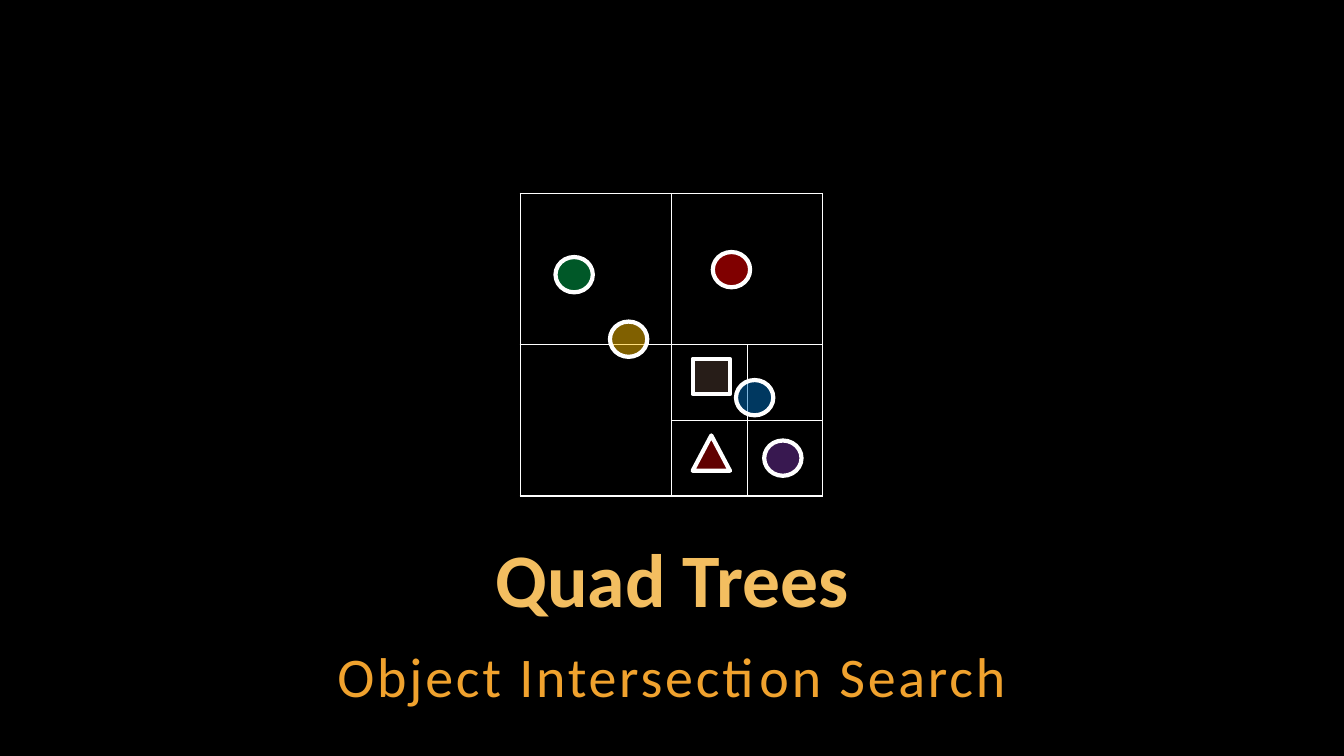
from dataclasses import dataclass

from pptx import Presentation
from pptx.dml.color import RGBColor
from pptx.enum.shapes import MSO_SHAPE as Preset
from pptx.enum.text import MSO_ANCHOR as Anchor, MSO_AUTO_SIZE as AutoSize, PP_ALIGN as Align
from pptx.oxml import parse_xml
from pptx.oxml.ns import nsdecls, qn
from pptx.slide import Slide
from pptx.text.text import Font, TextFrame
from pptx.util import Emu, Pt

PX = 9144  # 100 px to the inch
FONT = "Calibri"
BLACK = RGBColor(0x00, 0x00, 0x00)
WHITE = RGBColor(0xFF, 0xFF, 0xFF)
GOLD = RGBColor(0xF3, 0xBE, 0x60)
ORANGE = RGBColor(0xF0, 0xA2, 0x2E)
GREEN = RGBColor(0x00, 0xB0, 0x50)
RED = RGBColor(0xFF, 0x00, 0x00)
YELLOW = RGBColor(0xFF, 0xC0, 0x00)
BLUE = RGBColor(0x00, 0x70, 0xC0)
PURPLE = RGBColor(0x70, 0x30, 0xA0)
DARK_RED = RGBColor(0xC0, 0x00, 0x00)
BROWN = RGBColor(0x4E, 0x3B, 0x30)

TEXT_LEFT, TEXT_WIDTH, TEXT_INSET = 100, 1133, 4
TREE_LEFT, TREE_TOP, TREE_SIDE = 516, 192, 300
QUADRANT_SIZES = (TREE_SIDE // 2, TREE_SIDE // 4, TREE_SIDE // 4)
ITEM_WIDTH, ITEM_HEIGHT = 37, 35


@dataclass(frozen=True)
class TreeItem:
    left: int
    top: int
    color: RGBColor
    preset: Preset = Preset.OVAL


TREE_ITEMS = (
    TreeItem(551, 255, GREEN),
    TreeItem(707, 250, RED),
    TreeItem(605, 319, YELLOW),
    TreeItem(730, 377, BLUE),
    TreeItem(758, 437, PURPLE),
    TreeItem(687, 432, DARK_RED, Preset.ISOSCELES_TRIANGLE),
    TreeItem(687, 356, BROWN, Preset.RECTANGLE),
)


def px(length: int) -> Emu:
    return Emu(length * PX)


def write_line(frame: TextFrame, text: str, size: int, color: RGBColor,
               anchor: Anchor, line_spacing: float) -> Font:
    """Fill the frame with one centred line and return the font of its run."""
    frame.word_wrap = True
    frame.auto_size = AutoSize.NONE
    frame.vertical_anchor = anchor
    frame.margin_left = frame.margin_right = px(TEXT_INSET)
    frame.margin_top = frame.margin_bottom = px(TEXT_INSET)
    paragraph = frame.paragraphs[0]
    paragraph.alignment = Align.CENTER
    paragraph.line_spacing = line_spacing
    paragraph.space_before = Pt(0)
    run = paragraph.add_run()
    run.text = text
    run.font.name = FONT
    run.font.size = Pt(size)
    run.font.color.rgb = color
    return run.font


def add_headings(slide: Slide) -> None:
    title = slide.shapes.title
    title.left, title.top = px(TEXT_LEFT), px(533)
    title.width, title.height = px(TEXT_WIDTH), px(90)
    title_font = write_line(title.text_frame, "Quad Trees", 54, GOLD, Anchor.BOTTOM, 0.9)
    title_font.bold = True

    subtitle = slide.shapes.add_textbox(px(TEXT_LEFT), px(629), px(TEXT_WIDTH), px(79))
    write_line(subtitle.text_frame, "Object Intersection Search", 40, ORANGE, Anchor.TOP, 1.05)
    paragraph = subtitle.text_frame.paragraphs[0]
    paragraph.space_after = Pt(6)
    paragraph.runs[0].font._element.set("spc", "200")


def add_quadrants(slide: Slide) -> None:
    count = len(QUADRANT_SIZES)
    table = slide.shapes.add_table(count, count, px(TREE_LEFT), px(TREE_TOP),
                                   px(TREE_SIDE), px(TREE_SIDE)).table
    table.first_row = table.horz_banding = False
    for index, size in enumerate(QUADRANT_SIZES):
        table.columns[index].width = table.rows[index].height = px(size)
    table.cell(0, 1).merge(table.cell(0, 2))
    table.cell(1, 0).merge(table.cell(2, 0))
    for cell in table.iter_cells():
        cell.fill.background()
        properties = cell._tc.get_or_add_tcPr()
        for position, edge in enumerate(("lnL", "lnR", "lnT", "lnB")):
            properties.insert(position, parse_xml(
                f'<a:{edge} {nsdecls("a")} w="{Pt(1)}"><a:solidFill>'
                f'<a:srgbClr val="{WHITE}"/></a:solidFill></a:{edge}>'))


def add_tree_item(slide: Slide, item: TreeItem) -> None:
    """Draw a half-transparent item with a white outline."""
    shape = slide.shapes.add_shape(item.preset, px(item.left), px(item.top),
                                   px(ITEM_WIDTH), px(ITEM_HEIGHT))
    shape.shadow.inherit = False
    shape.fill.solid()
    shape.fill.fore_color.rgb = item.color
    fill_color = shape.element.spPr.find(qn("a:solidFill")).find(qn("a:srgbClr"))
    fill_color.append(parse_xml(f'<a:alpha {nsdecls("a")} val="50000"/>'))
    shape.line.color.rgb = WHITE
    shape.line.width = Pt(3)


def main() -> None:
    deck = Presentation()
    deck.slide_width, deck.slide_height = px(1333), px(750)
    title_only = deck.slide_layouts[5]
    slide = deck.slides.add_slide(title_only)
    slide.background.fill.solid()
    slide.background.fill.fore_color.rgb = BLACK
    add_headings(slide)
    add_quadrants(slide)
    for item in TREE_ITEMS:
        add_tree_item(slide, item)
    deck.save("out.pptx")


if __name__ == "__main__":
    main()
